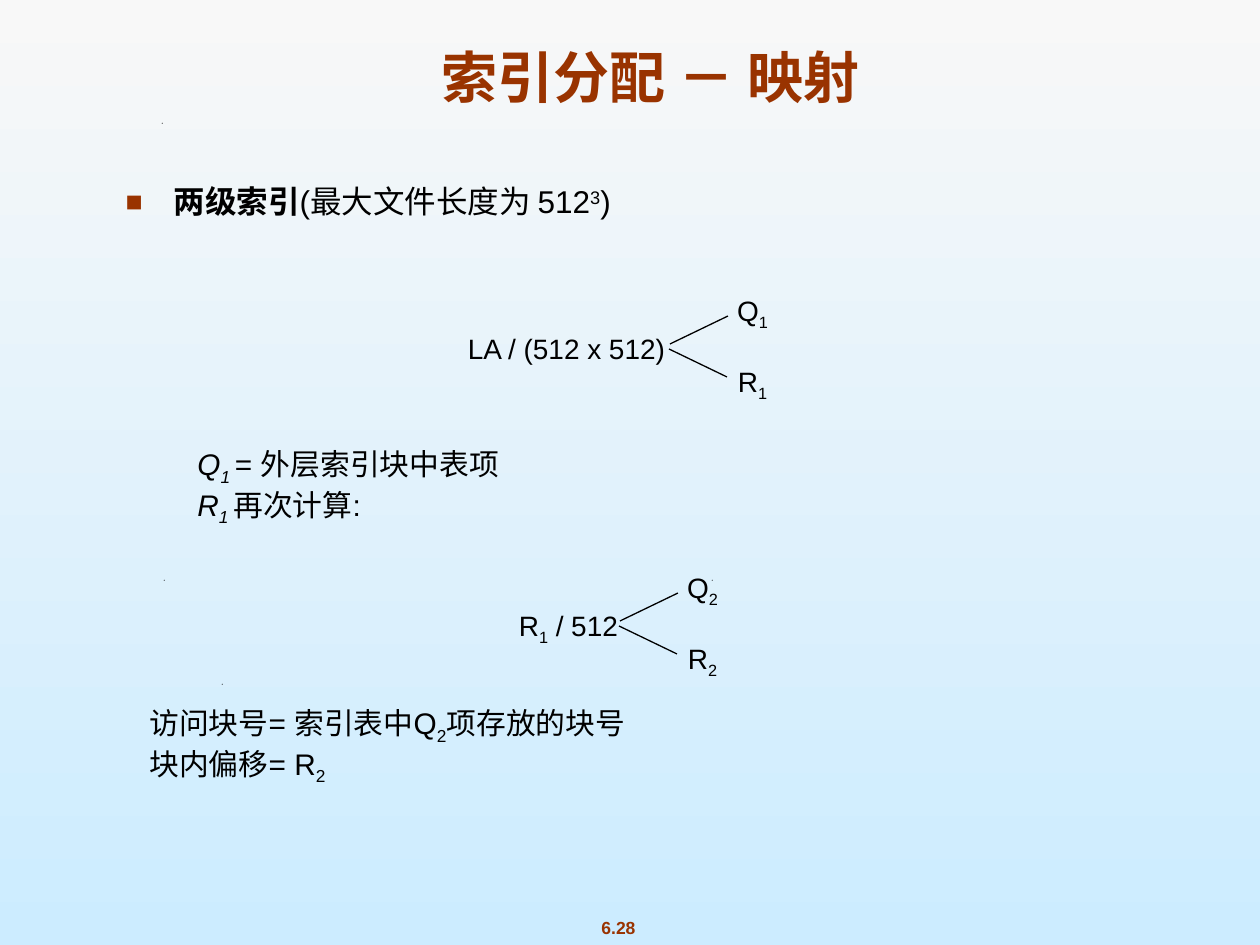
"""Build the slide on two-level index mapping."""
import pptx
import pptx.dml.color
import pptx.enum.shapes
import pptx.enum.text
import pptx.oxml.ns
import pptx.util
from lxml import etree

SLIDE_WIDTH, SLIDE_HEIGHT = 1260, 945
EMU_PER_PX = 9144000 / SLIDE_WIDTH

RUST = pptx.dml.color.RGBColor(0x99, 0x33, 0x00)
BLACK = pptx.dml.color.RGBColor(0x00, 0x00, 0x00)
BACKGROUND_TOP = pptx.dml.color.RGBColor(0xF8, 0xF8, 0xF8)
BACKGROUND_BOTTOM = pptx.dml.color.RGBColor(0xCC, 0xEC, 0xFF)

FONT = "Arial"
LEFT = pptx.enum.text.PP_ALIGN.LEFT
CENTER = pptx.enum.text.PP_ALIGN.CENTER
TOP = pptx.enum.text.MSO_ANCHOR.TOP
MIDDLE = pptx.enum.text.MSO_ANCHOR.MIDDLE
BOTTOM = pptx.enum.text.MSO_ANCHOR.BOTTOM

BOLD, ITALIC = {"bold": True}, {"italic": True}
SUB, SUPER = {"baseline": -25000}, {"baseline": 30000}
ITALIC_SUB = {**ITALIC, **SUB}

TITLE = [[("索引分配 － 映射", BOLD)]]
BODY = [[("两级索引", BOLD), ("(最大文件长度为 512", {}), ("3", SUPER), (")", {})]]
PAGE_NUMBER = [[("6.28", BOLD)]]

NOTES = [
    (440, 48, [
        [("Q", ITALIC), ("1 ", ITALIC_SUB), ("= 外层索引块中表项", {})],
        [("R", ITALIC), ("1 ", ITALIC_SUB), ("再次计算:", {})],
    ]),
    (699, 0, [
        [("访问块号= 索引表中Q", {}), ("2", SUB), ("项存放的块号", {})],
        [("块内偏移= R", {}), ("2", SUB)],
    ]),
]

DIVISIONS = [
    {"fork": (670, 344), "box": (455, 325, 223, 47), "level": "1",
     "expression": [("LA / (512 x 512)", {})]},
    {"fork": (620, 621), "box": (507, 602, 123, 52), "level": "2",
     "expression": [("R", {}), ("1", SUB), (" / 512", {})]},
]
BRANCHES = [
    {"letter": "Q", "label": (55, -57), "start": (0, 0), "end": (58, -28)},
    {"letter": "R", "label": (55, 14), "start": (-1, 5), "end": (57, 33)},
]
LABEL_SIZE = (55, 52)
SPECKS = [(222, 684), (164, 580), (712, 580), (162, 123)]


def px(length):
    return pptx.util.Emu(round(length * EMU_PER_PX))


def fill_text(shape, paragraphs, size, color=BLACK, align=LEFT, anchor=TOP, wrap=True, indent=0):
    frame = shape.text_frame
    frame.word_wrap = wrap
    frame.auto_size = pptx.enum.text.MSO_AUTO_SIZE.NONE
    frame.vertical_anchor = anchor
    for index, runs in enumerate(paragraphs):
        paragraph = frame.add_paragraph() if index else frame.paragraphs[0]
        paragraph.alignment = align
        paragraph.space_before = pptx.util.Pt(0)
        if indent:
            paragraph._p.get_or_add_pPr().set("marL", str(px(indent)))
        for text, style in runs:
            run = paragraph.add_run()
            run.text = text
            run.font.name = FONT
            run.font.size = pptx.util.Pt(size)
            run.font.color.rgb = color
            run.font.bold = style.get("bold", False)
            run.font.italic = style.get("italic", False)
            if "baseline" in style:
                run._r.get_or_add_rPr().set("baseline", str(style["baseline"]))


def place(shape, left, top, width, height):
    shape.left, shape.top, shape.width, shape.height = map(px, (left, top, width, height))


def add_text(slide, box, paragraphs, size, **options):
    shape = slide.shapes.add_textbox(*map(px, box))
    fill_text(shape, paragraphs, size, **options)


def add_bullet(paragraph, hanging):
    properties = paragraph._p.get_or_add_pPr()
    properties.set("marL", str(px(hanging)))
    properties.set("indent", str(-px(hanging)))
    qn = pptx.oxml.ns.qn
    color = etree.SubElement(properties, qn("a:buClr"))
    etree.SubElement(color, qn("a:srgbClr"), val=str(RUST))
    etree.SubElement(properties, qn("a:buSzPct"), val="90000")
    etree.SubElement(properties, qn("a:buChar"), char="■")


def add_line(slide, start, end):
    line = slide.shapes.add_connector(
        pptx.enum.shapes.MSO_CONNECTOR.STRAIGHT, *map(px, (*start, *end)))
    line.line.color.rgb = BLACK
    line.line.width = pptx.util.Pt(0.75)
    etree.SubElement(line._element.spPr, pptx.oxml.ns.qn("a:effectLst"))


def add_division(slide, division):
    label_options = {"align": CENTER, "anchor": MIDDLE, "wrap": False}
    add_text(slide, division["box"], [division["expression"]], 16, **label_options)
    for branch in BRANCHES:
        label, start, end = (
            tuple(origin + offset for origin, offset in zip(division["fork"], branch[part]))
            for part in ("label", "start", "end"))
        runs = [(branch["letter"], {}), (division["level"], SUB)]
        add_text(slide, (*label, *LABEL_SIZE), [runs], 16, **label_options)
        add_line(slide, start, end)


def add_speck(slide, left, top):
    builder = slide.shapes.build_freeform(px(left), px(top))
    builder.add_line_segments([(px(left + 1), px(top)), (px(left), px(top + 1))])
    speck = builder.convert_to_shape()
    speck.shadow.inherit = False
    speck.fill.solid()
    speck.fill.fore_color.rgb = BLACK
    speck.line.fill.background()


def main():
    presentation = pptx.Presentation()
    presentation.slide_width, presentation.slide_height = px(SLIDE_WIDTH), px(SLIDE_HEIGHT)
    slide = presentation.slides.add_slide(presentation.slide_layouts[1])

    background = slide.background.fill
    background.gradient()
    background.gradient_angle = 270
    for stop, color in zip(background.gradient_stops, (BACKGROUND_TOP, BACKGROUND_BOTTOM)):
        stop.color.rgb = color

    for speck in SPECKS:
        add_speck(slide, *speck)
    add_text(slide, (557, 911, 123, 34), PAGE_NUMBER, 10, color=RUST, align=CENTER, wrap=False)

    title, body = slide.placeholders
    place(title, 94, 32, 1113, 84)
    fill_text(title, TITLE, 32, color=RUST, align=CENTER, anchor=BOTTOM)
    place(body, 113, 176, 1013, 78)
    fill_text(body, BODY, 18)
    add_bullet(body.text_frame.paragraphs[0], 48)

    for division in DIVISIONS:
        add_division(slide, division)
    for top, indent, paragraphs in NOTES:
        add_text(slide, (137, top, 969, 102), paragraphs, 17, indent=indent)

    presentation.save("out.pptx")


if __name__ == "__main__":
    main()
